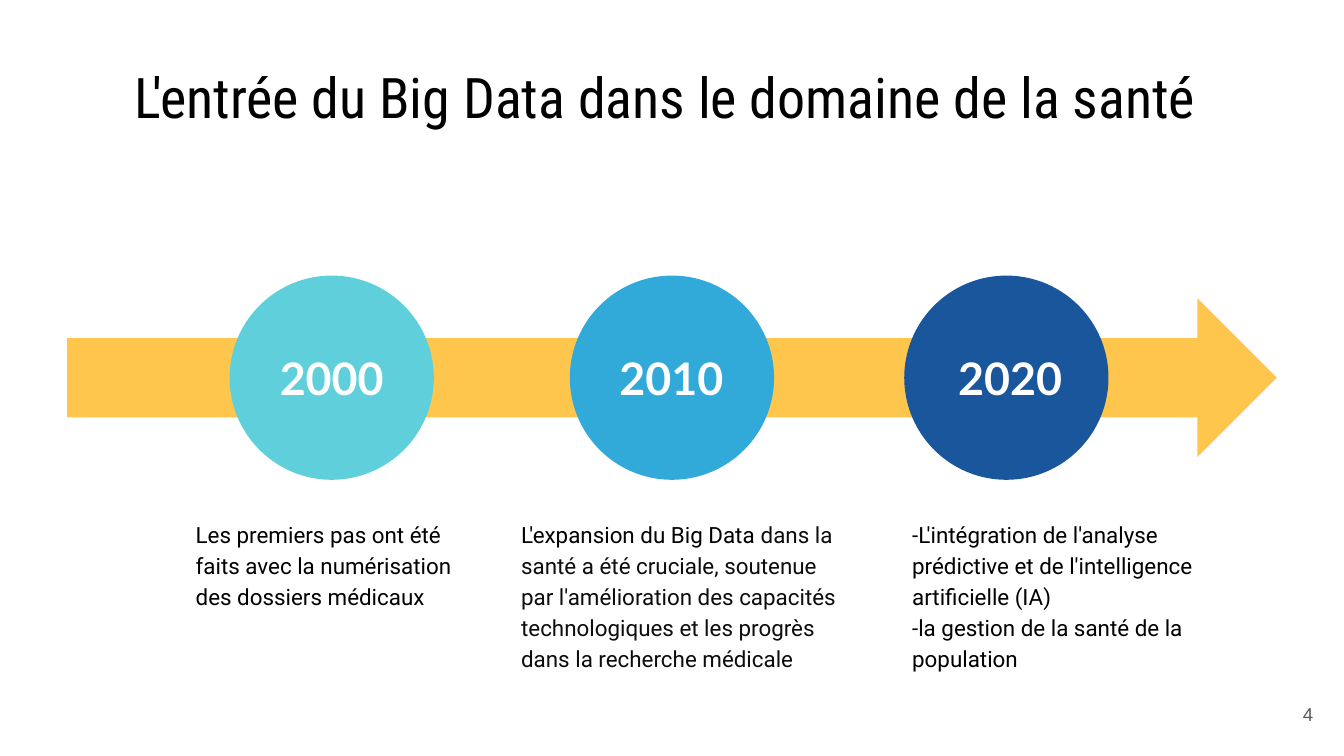
from pptx import Presentation
from pptx.dml.color import RGBColor
from pptx.enum.shapes import MSO_SHAPE as Shape
from pptx.enum.text import MSO_ANCHOR as Anchor, PP_ALIGN as Align
from pptx.util import Cm, Pt

COLORS = {
    "black": "000000", "ink": "0D0D0D", "white": "FFFFFF", "grey": "595959",
    "arrow": "FFC64E", "turquoise": "5FD0DB", "sky": "32AAD9", "navy": "1A569C",
}

TITLE = "L'entrée du Big Data dans le domaine de la santé "
PAGE_NUMBER = "4"

# Lengths in cm; each note is a list of paragraphs made of (text, color) runs
MILESTONES = [
    {"year": "2000", "color": "turquoise", "circle_left": 4.34, "year_left": 4.63,
     "note_box": (3.45, 9.53, 5.59, 2.72),
     "note": [[("Les premiers pas ont été faits avec la numérisation "
                "des dossiers médicaux", "black")]]},
    {"year": "2010", "color": "sky", "circle_left": 10.77, "year_left": 11.05,
     "note_box": (9.6, 9.53, 6.76, 3.1),
     "note": [[("L'expansion du Big Data ", "black"),
               ("dans la santé a été cruciale, soutenue par l'amélioration des "
                "capacités technologiques et les progrès dans la recherche "
                "médicale", "ink")]]},
    {"year": "2020", "color": "navy", "circle_left": 17.09, "year_left": 17.45,
     "note_box": (16.99, 9.53, 6.48, 3.1),
     "note": [[("-L'intégration de l'analyse prédictive et de l'intelligence "
                "artificielle (IA)", "black")],
              [("-la gestion de la santé de la population", "black")]]},
]
CIRCLE_TOP, DIAMETER = 5.21, 3.86
YEAR_TOP, YEAR_WIDTH, YEAR_HEIGHT = 6.74, 3.28, 0.79
INSET = Cm(0.25)


def rgb(name):
    return RGBColor.from_string(COLORS[name])


def place(box):
    return [Cm(length) for length in box]


def add_figure(slide, kind, box, color):
    figure = slide.shapes.add_shape(kind, *place(box))
    figure.shadow.inherit = False
    figure.fill.solid()
    figure.fill.fore_color.rgb = rgb(color)
    figure.line.fill.background()


def write(holder, paragraphs, font, size, align=Align.LEFT, anchor=Anchor.TOP,
          bold=False, spacing=1.0):
    frame = holder.text_frame
    frame.word_wrap = True
    frame.vertical_anchor = anchor
    frame.margin_left = frame.margin_right = INSET
    frame.margin_top = frame.margin_bottom = INSET
    for index, runs in enumerate(paragraphs):
        paragraph = frame.add_paragraph() if index else frame.paragraphs[0]
        paragraph.alignment = align
        paragraph.line_spacing = spacing
        paragraph.font.name = font
        paragraph.font.size = Pt(size)
        paragraph.font.bold = bold
        for text, color in runs:
            run = paragraph.add_run()
            run.text = text
            run.font.color.rgb = rgb(color)


def add_text(slide, box, paragraphs, *style, **options):
    write(slide.shapes.add_textbox(*place(box)), paragraphs, *style, **options)


def main():
    deck = Presentation()
    deck.slide_width, deck.slide_height = Cm(25.4), Cm(14.29)
    slide = deck.slides.add_slide(deck.slide_layouts[5])

    # Title
    title = slide.shapes.title
    title.left, title.top, title.width, title.height = place((1.27, 1.14, 22.86, 1.35))
    write(title, [[(TITLE, "black")]], "Roboto Condensed", 30,
          Align.CENTER, Anchor.MIDDLE)

    # Timeline arrow
    add_figure(slide, Shape.RIGHT_ARROW, (1.27, 5.64, 22.86, 3), "arrow")

    # Milestones: circle, year and note
    for milestone in MILESTONES:
        add_figure(slide, Shape.OVAL,
                   (milestone["circle_left"], CIRCLE_TOP, DIAMETER, DIAMETER),
                   milestone["color"])
        add_text(slide, (milestone["year_left"], YEAR_TOP, YEAR_WIDTH, YEAR_HEIGHT),
                 [[(milestone["year"], "white")]], "Lato", 24,
                 Align.CENTER, Anchor.MIDDLE, bold=True)
        add_text(slide, milestone["note_box"], milestone["note"], "Roboto", 12,
                 spacing=1.15)

    # Page number
    add_text(slide, (23.55, 12.95, 1.52, 1.09), [[(PAGE_NUMBER, "grey")]],
             "Arial", 10, Align.RIGHT, Anchor.MIDDLE)

    deck.save("out.pptx")


if __name__ == "__main__":
    main()
